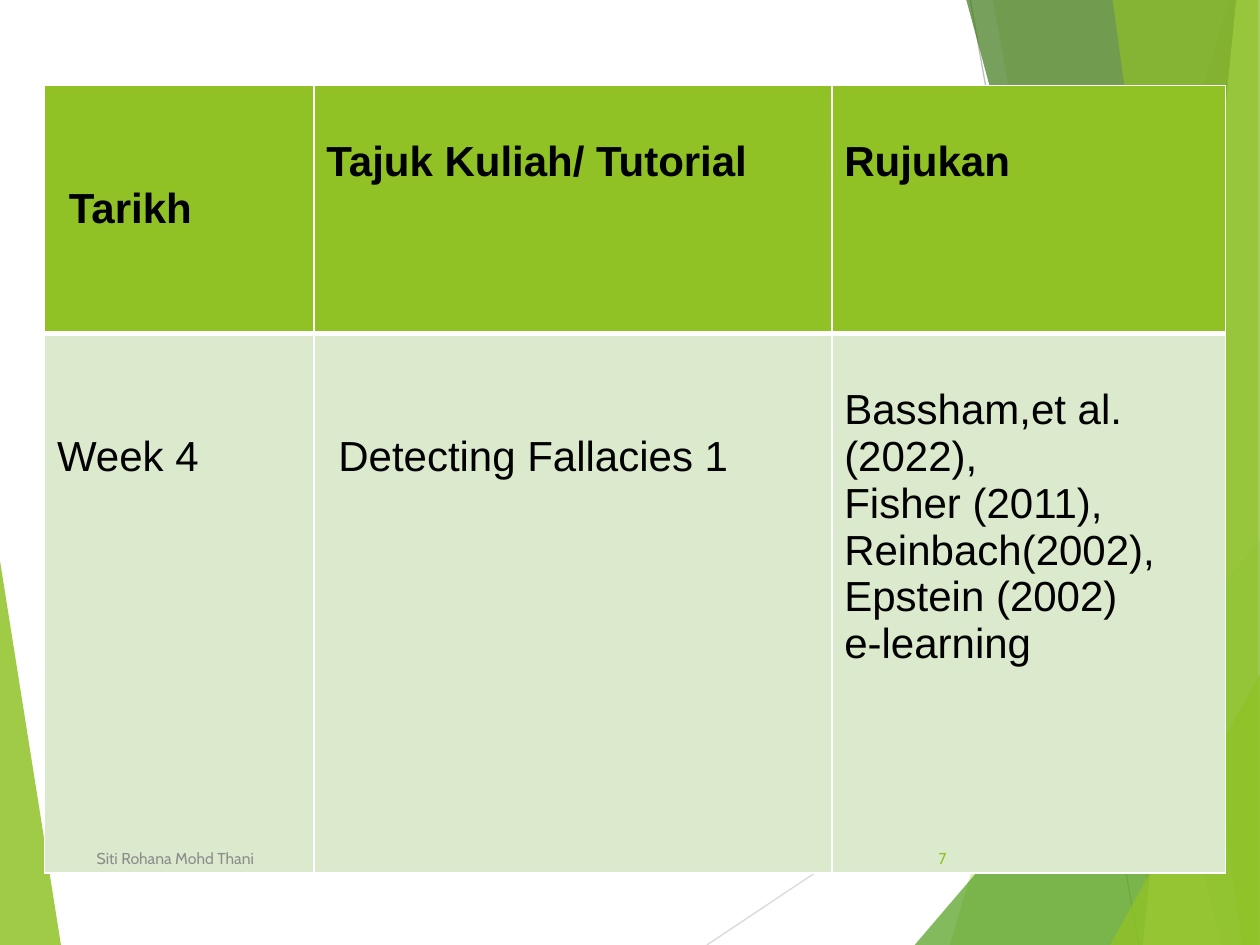
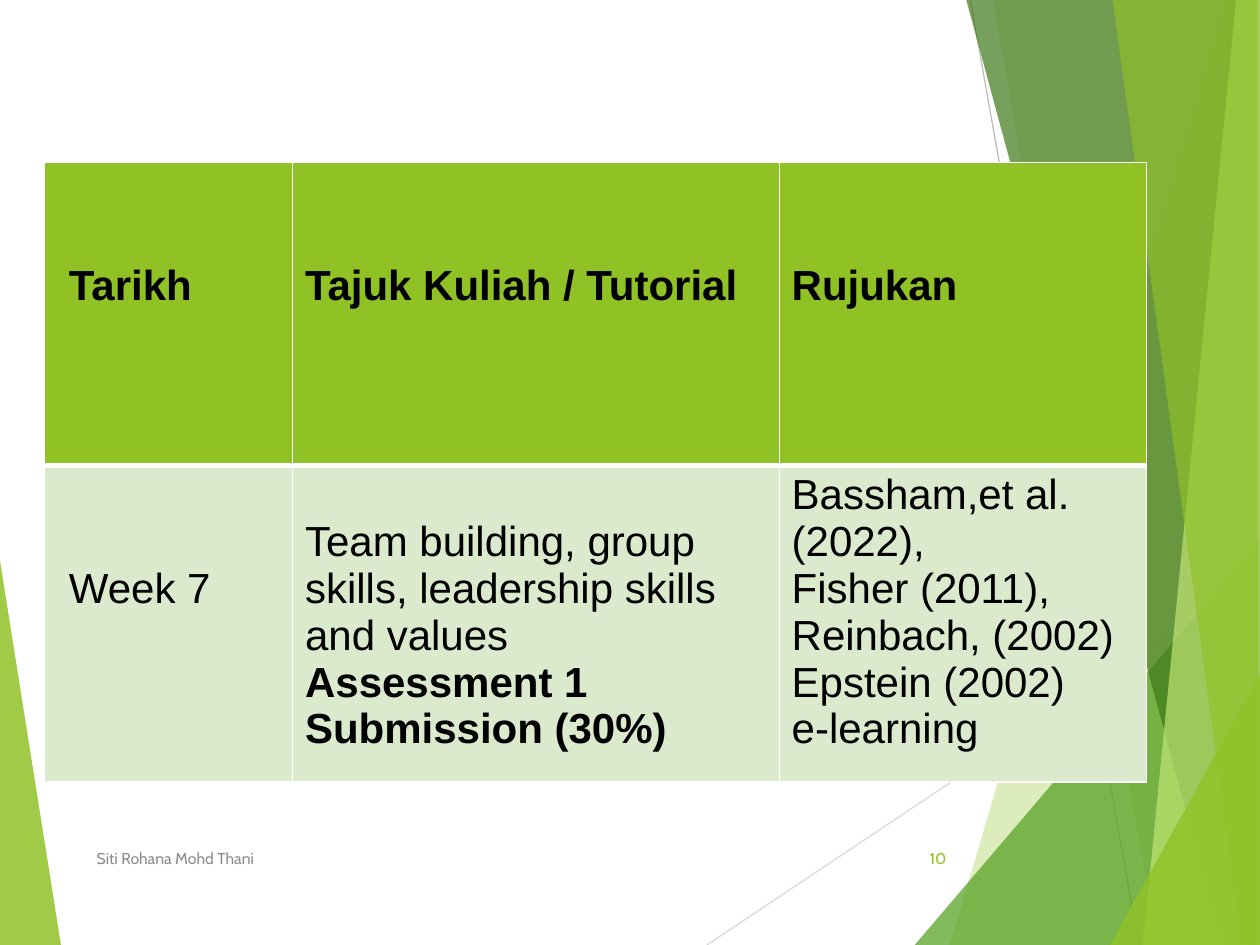
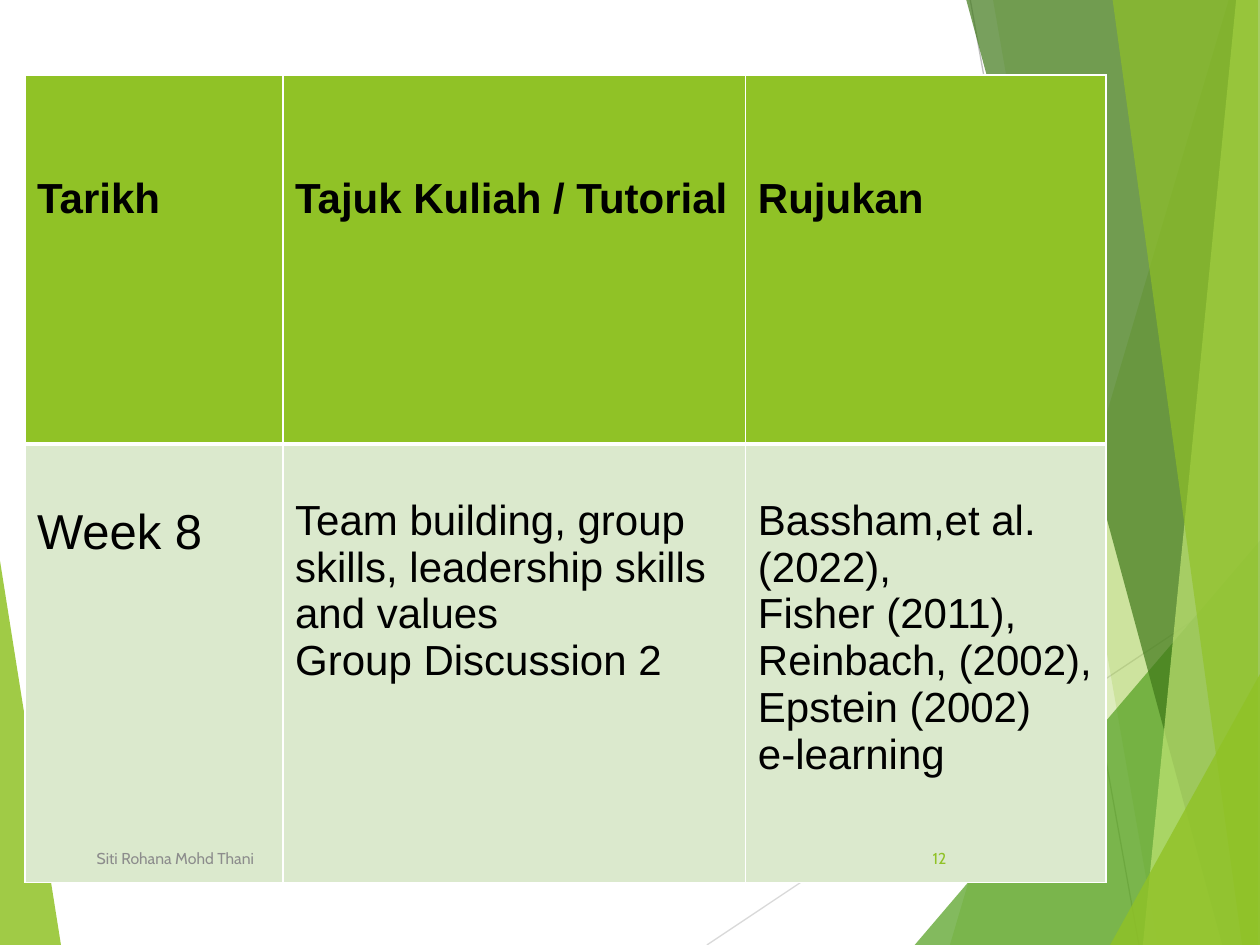
import dataclasses

import lxml.etree
import pptx
import pptx.dml.color
import pptx.enum.shapes
import pptx.enum.text
import pptx.oxml.ns
import pptx.util

Cm = pptx.util.Cm
Pt = pptx.util.Pt


@dataclasses.dataclass(frozen=True)
class Theme:
    """Hold the page size, colours, fonts and type sizes of the deck."""
    width: float = 25.4
    height: float = 19.05
    lime: str = "90C226"
    green: str = "54A021"
    forest: str = "3F7819"
    pale: str = "C0E474"
    body_fill: str = "DBE9CD"
    border: str = "FFFFFF"
    ink: str = "000000"
    muted: str = "8C8C8C"
    steep_line: str = "BFBFBF"
    flat_line: str = "D9D9D9"
    table_font: str = "Arial"
    footer_font: str = "Cabin"
    table_size: int = 24
    large_size: int = 28
    footer_size: int = 9
    line_height: float = 1.117
    margin_top: float = 0.13
    margin_left: float = 0.25
    space_width: float = 0.24
    thin: float = 1
    thick: float = 3


THEME = Theme()


@dataclasses.dataclass(frozen=True)
class Panel:
    """Describe a slanted panel between a sloping edge and an outer edge."""
    top_x: float
    bottom_x: float
    color: str
    opacity: int
    top_y: float = 0
    outer_x: float = THEME.width


@dataclasses.dataclass(frozen=True)
class Entry:
    """Describe a table cell; drop counts the lines left free above it."""
    paragraphs: tuple
    drop: int = 0
    indented: bool = False
    bold: tuple = ()
    size: int = THEME.table_size


@dataclasses.dataclass(frozen=True)
class WeekPage:
    """Describe one page of the weekly schedule."""
    number: int
    left: float
    top: float
    columns: tuple
    rows: tuple
    header: tuple
    body: tuple


LEFT_PANEL = Panel(0, 1.23, THEME.lime, 85, top_y=11.3, outer_x=0)
RIGHT_PANELS = (
    Panel(24.77, 19.15, THEME.lime, 30),
    Panel(20.02, 23.34, THEME.lime, 20),
    Panel(25.4, 18.44, THEME.green, 72, top_y=10.9),
    Panel(19.48, 24.64, THEME.forest, 70),
    Panel(24.92, 23.04, THEME.pale, 70),
    Panel(22.43, 25.04, THEME.lime, 65, outer_x=25.36),
    Panel(25.4, 22.38, THEME.lime, 80, top_y=13.59),
)
TEAM_TOPIC = "Team building, group skills, leadership skills and values"


def references(reinbach, drop):
    """Return the reading list cell with the given Reinbach line."""
    return Entry(("Bassham,et al. (2022),", "Fisher (2011),", reinbach,
                  "Epstein (2002)", "e-learning"), drop)


def heading(text, drop=2, indented=False):
    """Return a bold header cell."""
    return Entry((text,), drop, indented, bold=(0,))


WEEK_PAGES = (
    WeekPage(
        7, 0.9, 1.72, (5.43, 10.44, 7.93), (5, 10.88),
        (heading("Tarikh", indented=True), heading("Tajuk Kuliah/ Tutorial", 1),
         heading("Rujukan", 1)),
        (Entry(("Week 4",), 2), Entry(("Detecting Fallacies 1",), 2, True),
         references("Reinbach(2002),", 1))),
    WeekPage(
        10, 0.9, 3.28, (5, 9.81, 7.4), (6.1, 6.38),
        (heading("Tarikh", indented=True), heading("Tajuk Kuliah / Tutorial"),
         heading("Rujukan")),
        (Entry(("Week 7",), 2, True),
         Entry((TEAM_TOPIC, "Assessment 1 Submission (30%)"), 1, bold=(1,)),
         references("Reinbach, (2002)", 0))),
    WeekPage(
        12, 0.5, 1.51, (5.2, 9.33, 7.27), (7.44, 8.84),
        (heading("Tarikh"), heading("Tajuk Kuliah / Tutorial"),
         heading("Rujukan")),
        (Entry(("Week 8",), 1, size=THEME.large_size),
         Entry((TEAM_TOPIC, "Group Discussion 2"), 1),
         references("Reinbach, (2002),", 1))),
)


def rgb(color):
    """Return the colour object for a hexadecimal string."""
    return pptx.dml.color.RGBColor.from_string(color)


def add_element(parent, tag, **attributes):
    """Append a DrawingML element and return it."""
    return lxml.etree.SubElement(parent, pptx.oxml.ns.qn(tag), attributes)


def style_paragraph(para, font, size, color, bold=False):
    """Format every run of a paragraph."""
    for span in para.runs:
        span.font.name = font
        span.font.size = Pt(size)
        span.font.color.rgb = rgb(color)
        span.font.bold = bold


def add_panel(page, panel):
    """Draw a translucent slanted panel that reaches the page bottom."""
    corners = [(panel.top_x, panel.top_y), (panel.bottom_x, THEME.height),
               (panel.outer_x, THEME.height)]
    if panel.top_x != panel.outer_x:
        corners.append((panel.outer_x, panel.top_y))
    points = [(Cm(x), Cm(y)) for x, y in corners]
    builder = page.shapes.build_freeform(*points[0])
    builder.add_line_segments(points[1:], close=True)
    shape = builder.convert_to_shape()
    shape.shadow.inherit = False
    shape.line.fill.background()
    shape.fill.solid()
    shape.fill.fore_color.rgb = rgb(panel.color)
    color_node = shape.fill._xPr.find(".//" + pptx.oxml.ns.qn("a:srgbClr"))
    add_element(color_node, "a:alpha", val=str(panel.opacity * 1000))


def add_rule(page, start, end, color):
    """Draw a thin straight line."""
    rule = page.shapes.add_connector(
        pptx.enum.shapes.MSO_CONNECTOR.STRAIGHT,
        *(Cm(value) for value in start + end))
    rule.line.color.rgb = rgb(color)
    rule.line.width = Pt(0.75)
    add_element(rule._element.spPr, "a:effectLst")


def add_backdrop(page):
    """Draw the faceted background shared by all pages."""
    add_panel(page, LEFT_PANEL)
    add_rule(page, (14.25, THEME.height), (THEME.width, 11.61), THEME.flat_line)
    add_rule(page, (19.56, 0), (22.96, THEME.height), THEME.steep_line)
    for panel in RIGHT_PANELS:
        add_panel(page, panel)


def set_borders(cell, top, bottom):
    """Give a cell solid borders, with its own top and bottom widths."""
    properties = cell._tc.get_or_add_tcPr()
    widths = {"L": THEME.thin, "R": THEME.thin, "T": top, "B": bottom}
    for side, width in widths.items():
        line = add_element(properties, "a:ln" + side, w=str(Pt(width)))
        fill = add_element(line, "a:solidFill")
        add_element(fill, "a:srgbClr", val=THEME.border)


def fill_cell(cell, entry, color):
    """Write an entry into a cell and colour the cell."""
    cell.fill.solid()
    cell.fill.fore_color.rgb = rgb(color)
    cell.margin_left = Cm(THEME.margin_left + entry.indented * THEME.space_width)
    free_space = Pt(entry.drop * entry.size * THEME.line_height)
    cell.margin_top = Cm(THEME.margin_top) + free_space
    cell.text_frame.text = "\n".join(entry.paragraphs)
    for index, para in enumerate(cell.text_frame.paragraphs):
        style_paragraph(para, THEME.table_font, entry.size, THEME.ink,
                        index in entry.bold)


def add_schedule(page, week):
    """Add the schedule table of a week."""
    frame = page.shapes.add_table(
        len(week.rows), len(week.columns), Cm(week.left), Cm(week.top),
        Cm(sum(week.columns)), Cm(sum(week.rows)))
    table = frame.table
    table.horz_banding = False
    for column, width in zip(table.columns, week.columns):
        column.width = Cm(width)
    for row, height in zip(table.rows, week.rows):
        row.height = Cm(height)
    bands = ((week.header, THEME.lime, THEME.thin, THEME.thick),
             (week.body, THEME.body_fill, THEME.thick, THEME.thin))
    for row, (entries, color, top, bottom) in zip(table.rows, bands):
        for cell, entry in zip(row.cells, entries):
            set_borders(cell, top, bottom)
            fill_cell(cell, entry, color)


def add_footer_text(page, text, left, width, color, alignment):
    """Add one footer text on the common footer line."""
    box = page.shapes.add_textbox(Cm(left), Cm(16.79), Cm(width), Cm(1.02))
    box.text_frame.word_wrap = True
    box.text_frame.vertical_anchor = pptx.enum.text.MSO_ANCHOR.MIDDLE
    para = box.text_frame.paragraphs[0]
    para.text = text
    para.alignment = alignment
    style_paragraph(para, THEME.footer_font, THEME.footer_size, color)


def add_footer(page, number):
    """Add the lecturer name and the page number."""
    align = pptx.enum.text.PP_ALIGN
    add_footer_text(page, "Siti Rohana Mohd Thani", 1.7, 12.85, THEME.muted,
                    align.LEFT)
    add_footer_text(page, str(number), 17.91, 1.42, THEME.lime, align.RIGHT)


def main():
    """Build and save the deck."""
    deck = pptx.Presentation()
    deck.slide_width = Cm(THEME.width)
    deck.slide_height = Cm(THEME.height)
    for week in WEEK_PAGES:
        page = deck.slides.add_slide(deck.slide_layouts[6])
        add_backdrop(page)
        add_schedule(page, week)
        add_footer(page, week.number)
    deck.save("out.pptx")


if __name__ == "__main__":
    main()
